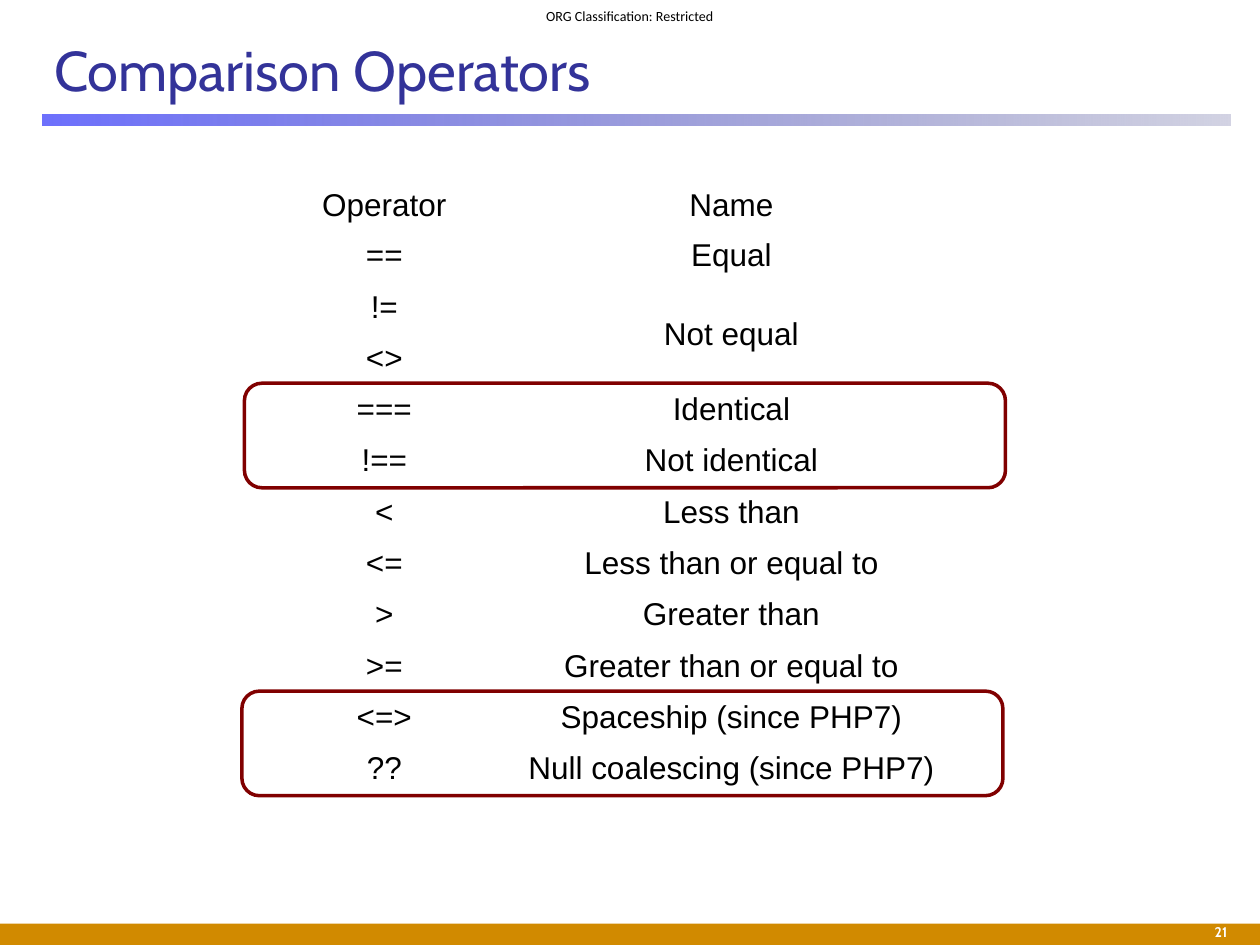
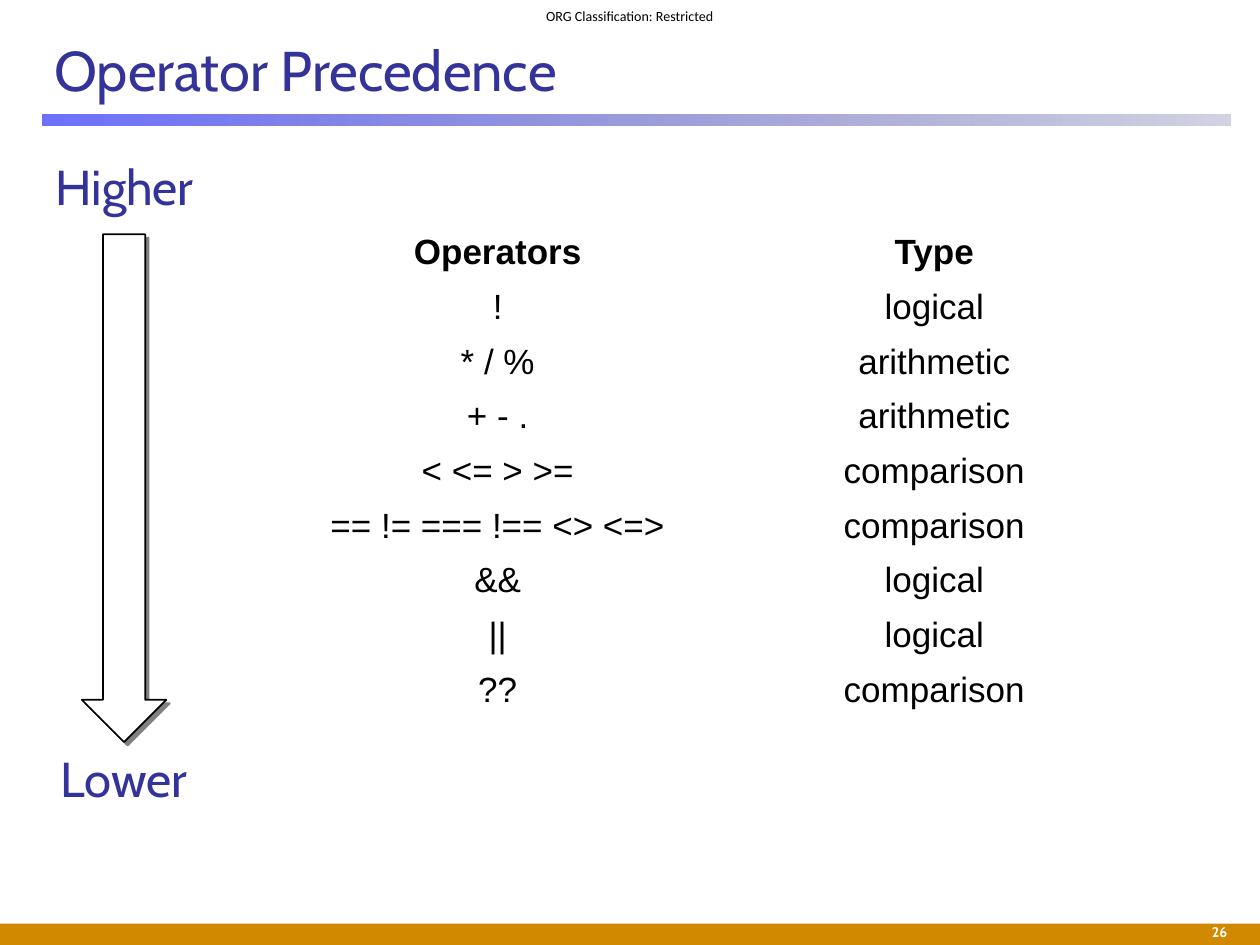
from lxml import etree
from pptx import Presentation
from pptx import util as u
from pptx.dml.color import RGBColor
from pptx.enum import shapes, text
from pptx.oxml.ns import qn

NAVY = RGBColor(0x33, 0x33, 0x99)
GOLD = RGBColor(0xD1, 0x8A, 0x00)
BLUE = RGBColor(0x46, 0x4A, 0xFC)
DARK = RGBColor(0x20, 0x22, 0x75)
RED = RGBColor(0x80, 0x00, 0x00)
BLACK = RGBColor(0, 0, 0)
WHITE = RGBColor(0xFF, 0xFF, 0xFF)

WIDE, HIGH = 10, 7.5
FOOT = 0.17
LABEL = "ORG Classification: Restricted"

COMPARE = [
    ("Operator", "Name"),
    ("==", "Equal"),
    ("!=", "Not equal"),
    ("<>", None),  # None joins the cell above
    ("===", "Identical"),
    ("!==", "Not identical"),
    ("<", "Less than"),
    ("<=", "Less than or equal to"),
    (">", "Greater than"),
    (">=", "Greater than or equal to"),
    ("<=>", "Spaceship (since PHP7)"),
    ("??", "Null coalescing (since PHP7)"),
]
FRAMES = [(4, 1.94), (10, 1.92)]  # first row framed, left edge

ORDER = [
    ("Operators", "Type"),
    ("!", "logical"),
    ("* / %", "arithmetic"),
    ("+ - .", "arithmetic"),
    ("< <= > >=", "comparison"),
    ("== != === !== <> <=>", "comparison"),
    ("&&", "logical"),
    ("||", "logical"),
    ("??", "comparison"),
]
ENDS = [("Higher", 0.32, 1.19, 1.34), ("Lower", 0.36, 5.89, 1.25)]


def inch(*nums):
    return [u.Inches(n) for n in nums]


def write(frame, words, size=18, font="Arial", color=BLACK, bold=False,
          align=text.PP_ALIGN.CENTER, anchor=None, inset=None):
    frame.word_wrap = True
    if anchor is not None:
        frame.vertical_anchor = anchor
    if inset is not None:
        frame.margin_left = frame.margin_right = u.Inches(inset)
        frame.margin_top = frame.margin_bottom = u.Inches(inset)
    para = frame.paragraphs[0]
    para.alignment = align
    run = para.add_run()
    run.text = words
    run.font.size, run.font.name = u.Pt(size), font
    run.font.bold, run.font.color.rgb = bold, color


def label(slide, box, words, **form):
    write(slide.shapes.add_textbox(*inch(*box)).text_frame, words, **form)


def draw(slide, kind, box, fill=None, line=None, width=1):
    shape = slide.shapes.add_shape(kind, *inch(*box))
    shape.shadow.inherit = False
    if fill is None:
        shape.fill.background()
    else:
        shape.fill.solid()
        shape.fill.fore_color.rgb = fill
    if line is None:
        shape.line.fill.background()
    else:
        shape.line.color.rgb, shape.line.width = line, u.Pt(width)
    return shape


def fade(shape, stops):
    """Fill from left to right with (colour, opacity in percent) stops."""
    shape.fill.gradient()
    shape.fill.gradient_angle = 0
    for stop, (color, _) in zip(shape.fill.gradient_stops, stops):
        stop.color.rgb = color
    tints = shape._element.spPr.find(qn("a:gradFill")).iter(qn("a:srgbClr"))
    for tint, (_, alpha) in zip(tints, stops):
        etree.SubElement(tint, qn("a:alpha"), val=str(alpha * 1000))


def shade(shape):
    """Cast a hard grey shadow down to the right."""
    cast = etree.SubElement(shape._element.spPr.find(qn("a:effectLst")),
                            qn("a:outerShdw"), dist=str(u.Pt(2.8)),
                            dir=str(45 * 60000), algn="ctr", rotWithShape="0")
    etree.SubElement(cast, qn("a:srgbClr"), val="808080")


def start(deck, title, page):
    """Add a slide with the shared bands, label, title and page number."""
    slide = deck.slides.add_slide(deck.slide_layouts[5])
    mid = text.MSO_ANCHOR.MIDDLE
    box = shapes.MSO_SHAPE.RECTANGLE
    draw(slide, box, (0, HIGH - FOOT, WIDE, FOOT), GOLD)
    fade(draw(slide, box, (0.34, 0.91, 9.43, 0.09)), [(BLUE, 79), (DARK, 20)])
    label(slide, (4.0, 0, 2.0, 0.25), LABEL, size=8, font="Calibri",
          anchor=mid, inset=0)
    head = slide.shapes.title
    head.left, head.top, head.width, head.height = inch(0.33, 0.17, 9.42, 0.75)
    write(head.text_frame, title, size=32, font="Cabin", color=NAVY,
          align=text.PP_ALIGN.LEFT, anchor=mid)
    label(slide, (8.42, 7.33, 1.32, 0.14), str(page), size=8, font="Cabin",
          color=WHITE, bold=True, align=text.PP_ALIGN.RIGHT, anchor=mid, inset=0)
    return slide


def grid(slide, rows, left, top, cols, first, step, size, bold):
    """Add a plain table; first is the header's height, step the others'."""
    high = first + step * (len(rows) - 1)
    table = slide.shapes.add_table(
        len(rows), len(cols), *inch(left, top, sum(cols), high)).table
    table.first_row = table.horz_banding = False
    for col, width in zip(table.columns, cols):
        col.width = u.Inches(width)
    for r, row in enumerate(rows):
        table.rows[r].height = u.Inches(step if r else first)
        for c, words in enumerate(row):
            cell = table.cell(r, c)
            cell.fill.background()
            if words is None:
                above = table.cell(r - 1, c)
                above.merge(cell)
                above.vertical_anchor = text.MSO_ANCHOR.MIDDLE
            else:
                write(cell.text_frame, words, size=size, bold=bold and r == 0)


def compare(deck):
    slide = start(deck, "Comparison Operators", 21)
    top, first = 1.44, 0.38
    step = (4.86 - first) / (len(COMPARE) - 1)
    grid(slide, COMPARE, 2.19, top, (1.72, 3.79), first, step, 18, False)
    for row, left in FRAMES:
        draw(slide, shapes.MSO_SHAPE.ROUNDED_RECTANGLE,
             (left, top + first + (row - 1) * step, 6.04, 0.83),
             line=RED, width=2)


def order(deck):
    slide = start(deck, "Operator Precedence", 26)
    grid(slide, ORDER, 2.2, 1.8, (3.5, 3.43), 0.41, 0.41, 20, True)
    for words, left, top, width in ENDS:
        label(slide, (left, top, width, 0.57), words, size=28, font="Cabin",
              color=NAVY)
    shade(draw(slide, shapes.MSO_SHAPE.DOWN_ARROW, (0.65, 1.86, 0.67, 4.03),
               WHITE, BLACK))


def main():
    deck = Presentation()
    deck.slide_width, deck.slide_height = inch(WIDE, HIGH)
    compare(deck)
    order(deck)
    deck.save("out.pptx")


if __name__ == "__main__":
    main()
